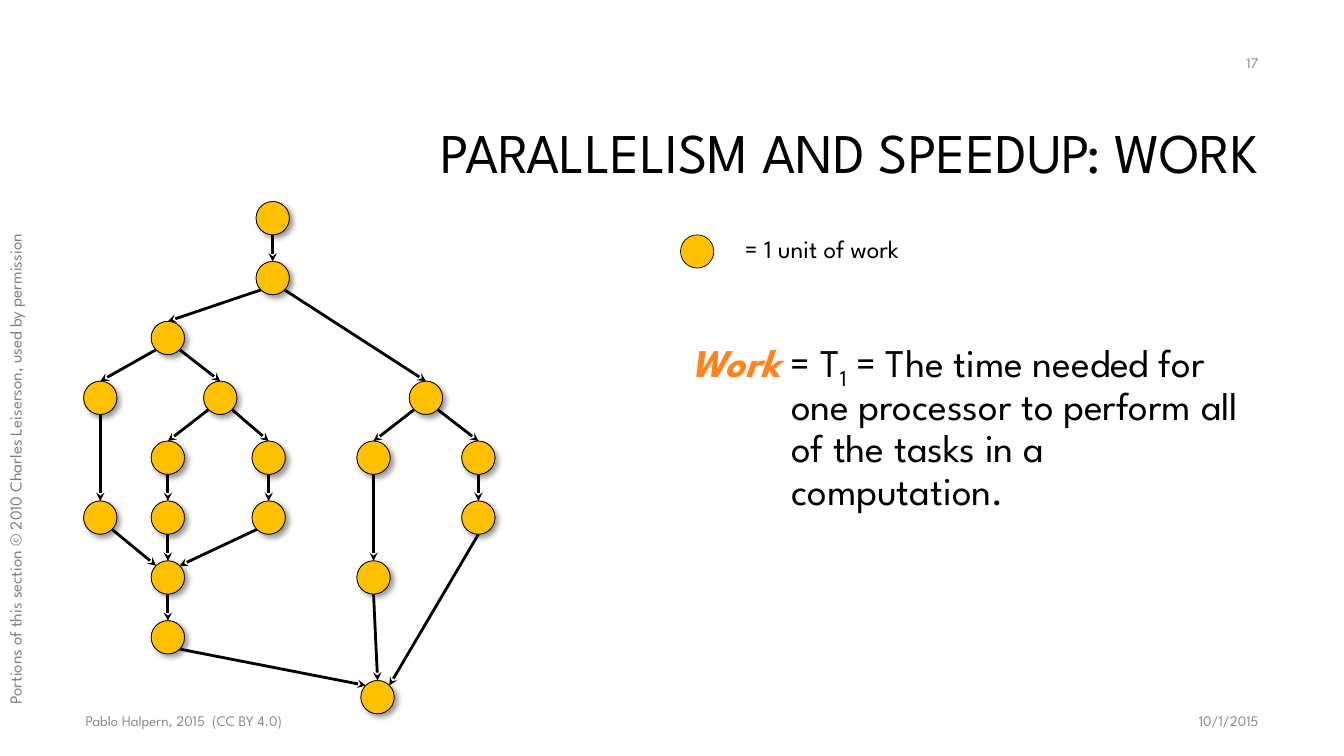
from dataclasses import dataclass

from lxml import etree
from pptx import Presentation
from pptx import util as u
from pptx.dml.color import RGBColor
from pptx.enum import shapes, text
from pptx.oxml import parse_xml
from pptx.oxml.ns import nsdecls, qn


@dataclass(frozen=True)
class Theme:
    """Colours, type sizes and font of the slide."""
    font: str = "League Spartan"
    ink: str = "000000"
    muted: str = "8C8C8C"
    credit: str = "808080"
    accent: str = "FF841C"
    node: str = "FFC000"
    under: str = "C0C0C0"
    title_pt: float = 40
    body_pt: float = 28
    legend_pt: float = 18
    credit_pt: float = 12
    footer_pt: float = 10.5


NODE = 0.33
TOP, ROW = 2.0, 0.594
R = NODE / 2
D = R * 0.707
SITES = {"T": (0, -R), "B": (0, R), "TL": (-D, -D), "TR": (D, -D),
         "BL": (-D, D), "BR": (D, D)}

TASKS = {
    "start": (2.54, 0), "fork": (2.54, 1), "left": (1.5, 2),
    "outer": (0.83, 3), "inner": (2.02, 3), "right": (4.06, 3),
    "inner_a": (1.5, 4), "inner_b": (2.5, 4), "right_a": (3.54, 4), "right_b": (4.58, 4),
    "outer_end": (0.83, 5), "inner_a_end": (1.5, 5), "inner_b_end": (2.5, 5),
    "right_b_end": (4.58, 5), "join": (1.5, 6), "right_a_end": (3.54, 6),
    "left_end": (1.5, 7), "finish": (3.58, 8),
}

EDGES = [
    ("start", "B", "fork", "T"), ("fork", "BL", "left", "T"), ("fork", "BR", "right", "T"),
    ("left", "BL", "outer", "T"), ("left", "BR", "inner", "T"),
    ("outer", "B", "outer_end", "T"),
    ("inner", "BL", "inner_a", "T"), ("inner", "BR", "inner_b", "T"),
    ("right", "BL", "right_a", "T"), ("right", "BR", "right_b", "T"),
    ("inner_a", "B", "inner_a_end", "T"), ("inner_b", "B", "inner_b_end", "T"),
    ("right_a", "B", "right_a_end", "T"), ("right_b", "B", "right_b_end", "T"),
    ("outer_end", "BR", "join", "TL"), ("inner_a_end", "B", "join", "T"),
    ("inner_b_end", "BL", "join", "TR"), ("join", "B", "left_end", "T"),
    ("left_end", "BR", "finish", "TL"), ("right_a_end", "B", "finish", "T"),
    ("right_b_end", "B", "finish", "TR"),
]


def task_point(name, site):
    """Return the place of a connection site on a task node."""
    x, row = TASKS[name]
    dx, dy = SITES[site]
    return x + R + dx, TOP + row * ROW + R + dy


class Deck:
    """Draws elements in one style on the current slide."""

    def __init__(self, theme):
        """Start a widescreen presentation with one blank slide."""
        self.theme = theme
        self.prs = Presentation()
        self.prs.slide_width, self.prs.slide_height = u.Inches(13.33), u.Inches(7.5)
        self.slide = self.prs.slides.add_slide(self.prs.slide_layouts[6])

    def text(self, box, words, size, color, align=text.PP_ALIGN.LEFT,
             anchor=text.MSO_ANCHOR.TOP, spacing=None, vert=None, wrap=True):
        """Add a one-paragraph text box and return its paragraph."""
        sp = self.slide.shapes.add_textbox(*map(u.Inches, box))
        tf = sp.text_frame
        tf.word_wrap, tf.vertical_anchor = wrap, anchor
        if vert:
            tf._txBody.bodyPr.set("vert", vert)
        p = tf.paragraphs[0]
        p.alignment = align
        if spacing:
            p.line_spacing = spacing
        p.font.name, p.font.size = self.theme.font, u.Pt(size)
        p.font.color.rgb = RGBColor.from_string(color)
        if words:
            p.add_run().text = words
        return p

    def definition(self, box, term, symbol, index, meaning):
        """Add a term with a subscripted symbol and a hanging indent."""
        p = self.text(box, "", self.theme.body_pt, self.theme.ink, spacing=0.9)
        p.space_before = u.Pt(10)
        pPr = p._p.get_or_add_pPr()
        pPr.set("marL", str(u.Inches(1)))
        pPr.set("indent", str(u.Inches(-1)))
        head, _, sub, _ = runs = [p.add_run() for _ in range(4)]
        for r, words in zip(runs, (term, symbol, index, meaning)):
            r.text = words
        head.font.bold = head.font.italic = True
        head.font.color.rgb = RGBColor.from_string(self.theme.accent)
        sub._r.get_or_add_rPr().set("baseline", "-25000")

    def node(self, parent, x, y, fill, shadow=False):
        """Add a task circle, with a soft shadow on request."""
        sp = parent.add_shape(shapes.MSO_SHAPE.OVAL, *map(u.Inches, (x, y, NODE, NODE)))
        sp.shadow.inherit = False
        sp.fill.solid()
        sp.fill.fore_color.rgb = RGBColor.from_string(fill)
        sp.line.color.rgb = RGBColor.from_string(self.theme.ink)
        sp.line.width = u.Pt(0.5)
        if shadow:
            effects = sp._element.spPr.find(qn("a:effectLst"))
            effects.append(parse_xml(
                f'<a:outerShdw {nsdecls("a")} blurRad="{u.Pt(4)}" dist="{u.Pt(3)}" '
                f'dir="2700000"><a:srgbClr val="{self.theme.ink}">'
                '<a:alpha val="40000"/></a:srgbClr></a:outerShdw>'))

    def arrow(self, parent, start, end):
        """Add a straight line with a stealth head at its end."""
        sp = parent.add_connector(shapes.MSO_CONNECTOR.STRAIGHT,
                                  *map(u.Inches, (*start, *end)))
        sp.line.color.rgb = RGBColor.from_string(self.theme.ink)
        sp.line.width = u.Pt(2)
        etree.SubElement(sp.line._get_or_add_ln(), qn("a:tailEnd"), type="stealth")
        etree.SubElement(sp._element.spPr, qn("a:effectLst"))

    def task_graph(self):
        """Add the graph: shadowed bases, arrows, then coloured nodes."""
        group = self.slide.shapes.add_group_shape().shapes
        for x, row in TASKS.values():
            self.node(group, x, TOP + row * ROW, self.theme.under, shadow=True)
        for source, out, target, into in EDGES:
            self.arrow(group, task_point(source, out), task_point(target, into))
        for x, row in TASKS.values():
            self.node(self.slide.shapes, x, TOP + row * ROW, self.theme.node)


def main():
    """Build the slide and save it."""
    theme = Theme()
    deck = Deck(theme)
    right, middle = text.PP_ALIGN.RIGHT, text.MSO_ANCHOR.MIDDLE
    deck.text((2, 0.84, 10.58, 1.41), "PARALLELISM AND SPEEDUP: WORK",
              theme.title_pt, theme.ink, right, middle, 0.9)
    deck.definition((6.75, 3.31, 5.83, 3.5), "Work ", "= T", "1",
                    " = The time needed for one processor to perform all"
                    " of the tasks in a computation.")
    for box, words, align in (
            ((9.4, 6.95, 3.18, 0.4), "10/1/2015", right),
            ((0.75, 6.95, 8.5, 0.4), "Pablo Halpern, 2015  (CC BY 4.0)", text.PP_ALIGN.LEFT),
            ((9.58, 0.42, 3, 0.4), "17", right)):
        deck.text(box, words, theme.footer_pt, theme.muted, align, middle)
    deck.task_graph()
    deck.node(deck.slide.shapes, 6.75, 2.33, theme.node)
    deck.text((7.29, 2.27, 2.11, 0.4), "= 1 unit of work",
              theme.legend_pt, theme.ink, wrap=False)
    deck.text((0, 1.42, 0.4, 5.67),
              "Portions of this section © 2010 Charles Leiserson, used by permission",
              theme.credit_pt, theme.credit, vert="vert270")
    deck.prs.save("out.pptx")


if __name__ == "__main__":
    main()
